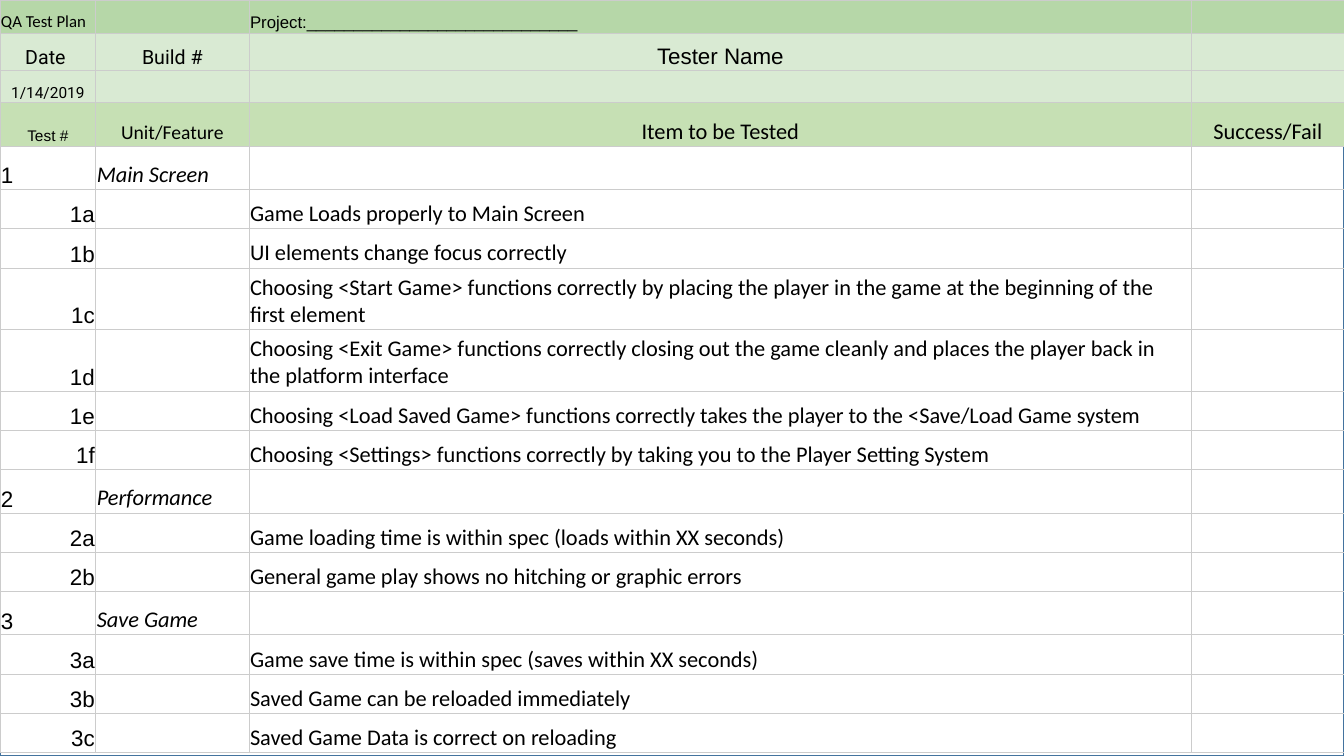
from lxml.etree import SubElement
from pptx import Presentation
from pptx.dml.color import RGBColor
from pptx.enum.shapes import MSO_SHAPE
from pptx.enum.text import MSO_ANCHOR, PP_ALIGN as AL
from pptx.oxml.ns import qn
from pptx.util import Inches, Pt


def rgb(code):
    return RGBColor.from_string(code)


def add_borders(cell):
    """Draw a thin grey line on the four sides; call before filling the cell."""
    tcPr = cell._tc.get_or_add_tcPr()
    for side in ("lnL", "lnR", "lnT", "lnB"):
        ln = SubElement(tcPr, qn(f"a:{side}"), w=str(Pt(0.5)))
        SubElement(SubElement(ln, qn("a:solidFill")), qn("a:srgbClr"), val="CCCCCC")


SECTIONS = [
    ("Main Screen", [
        "Game Loads properly to Main Screen",
        "UI elements change focus correctly",
        "Choosing <Start Game> functions correctly by placing the player in the game "
        "at the beginning of the first element",
        "Choosing <Exit Game> functions correctly closing out the game cleanly and "
        "places the player back in the platform interface",
        "Choosing <Load Saved Game> functions correctly takes the player to the "
        "<Save/Load Game system",
        "Choosing <Settings> functions correctly by taking you to the Player Setting System",
    ]),
    ("Performance", [
        "Game loading time is within spec (loads within XX seconds)",
        "General game play shows no hitching or graphic errors",
    ]),
    ("Save Game", [
        "Game save time is within spec (saves within XX seconds)",
        "Saved Game can be reloaded immediately",
        "Saved Game Data is correct on reloading",
    ]),
]
COLS = [0.95, 1.52, 9.35, 1.51]

# Each row: height, fill, {column: (text, font, size, alignment, italic)}
rows = [
    (0.33, "B6D7A8", {0: ("QA Test Plan", "Calibri", 12, AL.LEFT, False),
                      2: ("Project:" + "_" * 29, "Arial", 12, AL.LEFT, False)}),
    (0.37, "D9EAD3", {0: ("Date ", "Roboto", 14, AL.CENTER, False),
                      1: ("Build #", "Roboto", 14, AL.CENTER, False),
                      2: ("Tester Name", "Arial", 16, AL.CENTER, False)}),
    (0.32, "D9EAD3", {0: ("1/14/2019", "Roboto", 11, AL.CENTER, False)}),
    (0.43, "C6E0B4", {0: ("Test #", "Arial", 11, AL.CENTER, False),
                      1: ("Unit/Feature", "Calibri", 14, AL.CENTER, False),
                      2: ("Item to be Tested", "Calibri", 16, AL.CENTER, False),
                      3: ("Success/Fail", "Calibri", 16, AL.CENTER, False)}),
]
for number, (feature, tests) in enumerate(SECTIONS, 1):
    rows.append((0.43, None, {0: (str(number), "Arial", 16, AL.LEFT, False),
                              1: (feature, "Calibri", 16, AL.LEFT, True)}))
    for letter, test in zip("abcdef", tests):
        height = 0.61 if len(test) > 100 else 0.39
        rows.append((height, None, {0: (f"{number}{letter}", "Arial", 16, AL.RIGHT, False),
                                    2: (test, "Calibri", 16, AL.LEFT, False)}))

prs = Presentation()
prs.slide_width, prs.slide_height = Inches(13.33), Inches(7.5)
W, H = prs.slide_width, prs.slide_height
s = prs.slides.add_slide(prs.slide_layouts[6])

page = s.shapes.add_shape(MSO_SHAPE.RECTANGLE, 0, 0, W, H)
page.shadow.inherit = False
page.fill.solid()
page.fill.fore_color.rgb = rgb("FFFFFF")
page.line.color.rgb = rgb("43739E")
page.line.width = Pt(1)

table = s.shapes.add_table(len(rows), len(COLS), 0, 0, W, H).table
table.first_row = table.horz_banding = False
for column, width in zip(table.columns, COLS):
    column.width = Inches(width)

for i, (height, fill, texts) in enumerate(rows):
    table.rows[i].height = Inches(height)
    for j in range(len(COLS)):
        cell = table.cell(i, j)
        cell.margin_left = cell.margin_right = Inches(0.01)
        cell.margin_top = cell.margin_bottom = Inches(0.01)
        cell.vertical_anchor = MSO_ANCHOR.BOTTOM
        add_borders(cell)
        if fill:
            cell.fill.solid()
            cell.fill.fore_color.rgb = rgb(fill)
        else:
            cell.fill.background()
        p = cell.text_frame.paragraphs[0]
        if j in texts:
            text, font, size, align, italic = texts[j]
            p.alignment = align
            r = p.add_run()
            r.text = text
            r.font.name, r.font.size, r.font.italic = font, Pt(size), italic
            r.font.color.rgb = rgb("000000")
        else:
            # An empty cell needs a small end mark, or it would stretch its row
            SubElement(p._p, qn("a:endParaRPr"), sz="1100")

prs.save("out.pptx")
